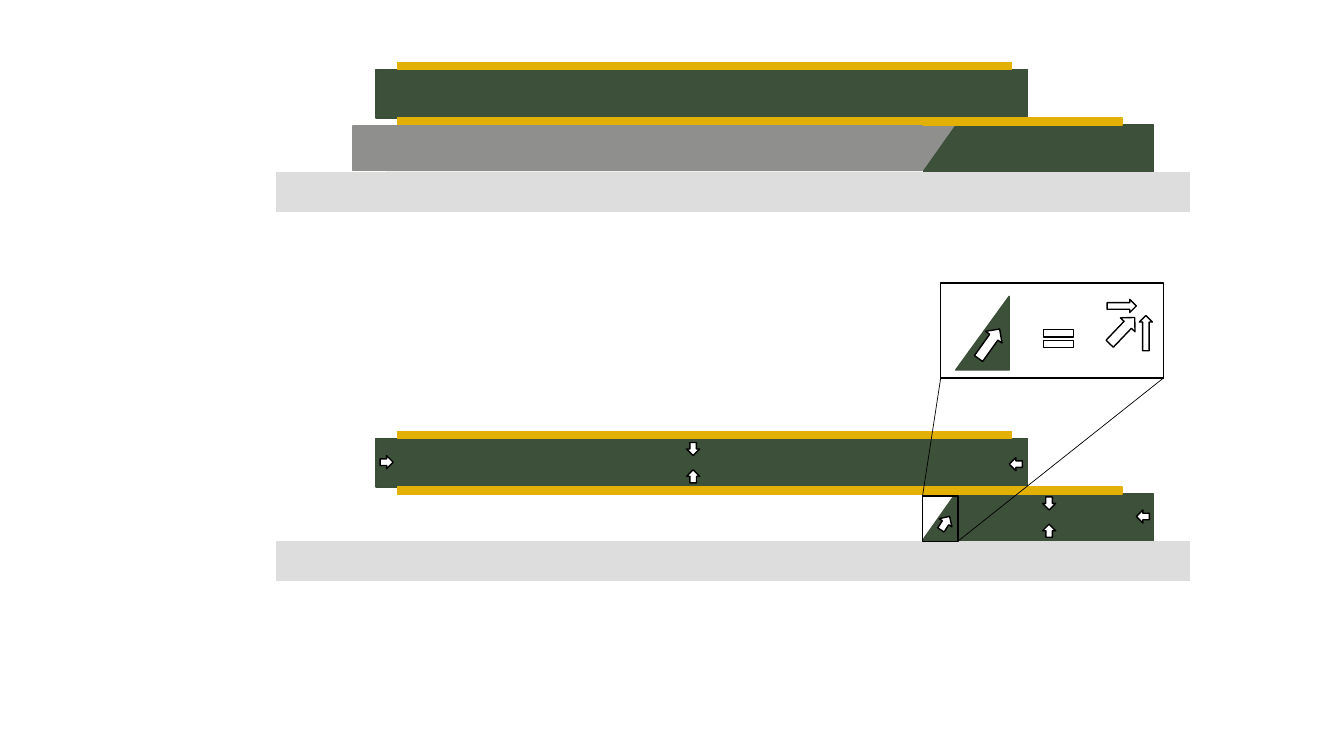
"""Build a slide of stacked layers on a substrate before and after release, with stress arrows."""
import pptx
import pptx.util
import pptx.dml.color
import pptx.enum.shapes
import pptx.oxml
import pptx.oxml.ns

Inches = pptx.util.Inches
Kind = pptx.enum.shapes.MSO_SHAPE

THEME = {
    "film": ("3D503A", "3B4E38"),
    "sacrificial": ("8F8F8D", "8F8F8D"),
    "removed": ("FFFFFF", None),
    "substrate": ("DDDDDD", "DDDDDD"),
    "electrode": ("E3B005", "E3B005"),
    "arrow": ("FFFFFF", "000000"),
    "frame": (None, "000000"),
}
OUTLINE, LEADER = 1, 0.5

STAGES = [(0, "sacrificial"), (3.66, "removed")]
LAYERS = [
    ("film", Kind.RECTANGLE, (9.16, 1.24, 2.28, 0.47)),
    ("film", Kind.RECTANGLE, (3.73, 0.69, 6.46, 0.48)),
    ("spacer", Kind.PARALLELOGRAM, (3.83, 1.22, 5.65, 0.47)),
    ("substrate", Kind.RECTANGLE, (2.74, 1.71, 9.06, 0.39)),
    ("electrode", Kind.RECTANGLE, (3.94, 1.17, 7.19, 0.07)),
    ("electrode", Kind.RECTANGLE, (3.94, 0.62, 6.09, 0.07)),
]
SPACER_SLANT = 0.706
SPACER_END = (3.5, 1.25, 5.65, 0.44)

SMALL = 0.13
SMALL_ARROWS = [
    (6.81, 4.39, 0), (6.81, 4.66, 180),
    (10.34, 4.93, 0), (10.34, 5.2, 180),
    (3.77, 4.52, 270), (10.01, 4.54, 90), (11.27, 5.06, 90),
]
EDGE_ARROW = ((9.3, 5.11, 0.15, 0.16), 212.6)
DETAIL_ARROWS = [
    ((11.06, 2.89, 0.13, 0.29), 270),
    ((11.3, 3.13, 0.13, 0.35), 180),
    ((9.71, 3.23, 0.2, 0.36), 215.6),
    ((11.03, 3.1, 0.2, 0.36), 223.6),
]
EDGE_FRAME = (9.15, 4.92, 0.35, 0.45)
DETAIL_FRAME = (9.33, 2.81, 2.21, 0.94)
WEDGE = (9.48, 2.94, 0.53, 0.73)
EQUALS = (10.3, 3.21, 0.4, 0.3)


def color(code):
    return pptx.dml.color.RGBColor.from_string(code)


def add_part(page, role, kind, box, turn=0):
    part = page.shapes.add_shape(kind, *map(Inches, box))
    part.rotation = turn
    part.shadow.inherit = False
    for paint, code in zip((part.fill, part.line.fill), THEME[role]):
        if code is None:
            paint.background()
        else:
            paint.solid()
            paint.fore_color.rgb = color(code)
    if THEME[role][1]:
        part.line.width = pptx.util.Pt(OUTLINE)
    return part


def add_stage(page, drop, spacer_role):
    for role, kind, (left, top, width, height) in LAYERS:
        is_spacer = role == "spacer"
        part = add_part(page, spacer_role if is_spacer else role, kind,
                        (left, top + drop, width, height))
        if is_spacer:
            part.adjustments[0] = SPACER_SLANT
    if spacer_role == "sacrificial":
        add_part(page, spacer_role, Kind.RECTANGLE, SPACER_END)


def add_leader(page, start, end):
    leader = page.shapes.add_connector(
        pptx.enum.shapes.MSO_CONNECTOR.STRAIGHT, *map(Inches, start + end))
    leader.line.color.rgb = color(THEME["frame"][1])
    leader.line.width = pptx.util.Pt(LEADER)
    properties = leader.element.find(pptx.oxml.ns.qn("p:spPr"))
    properties.append(pptx.oxml.parse_xml(
        f'<a:effectLst {pptx.oxml.ns.nsdecls("a")}/>'))


def bottom_corners(box):
    left, top, width, height = box
    return (left, top + height), (left + width, top + height)


def main():
    deck = pptx.Presentation()
    deck.slide_width, deck.slide_height = Inches(13.33), Inches(7.5)
    page = deck.slides.add_slide(deck.slide_layouts[6])

    for drop, spacer_role in STAGES:
        add_stage(page, drop, spacer_role)

    for left, top, turn in SMALL_ARROWS:
        add_part(page, "arrow", Kind.DOWN_ARROW, (left, top, SMALL, SMALL), turn)
    add_part(page, "arrow", Kind.DOWN_ARROW, *EDGE_ARROW)

    add_part(page, "frame", Kind.RECTANGLE, EDGE_FRAME)
    detail_left, detail_right = bottom_corners(DETAIL_FRAME)
    add_leader(page, EDGE_FRAME[:2], detail_left)
    add_leader(page, bottom_corners(EDGE_FRAME)[1], detail_right)

    wedge = add_part(page, "film", Kind.RIGHT_TRIANGLE, WEDGE)
    wedge.element.spPr.find(pptx.oxml.ns.qn("a:xfrm")).set("flipH", "1")
    add_part(page, "arrow", Kind.MATH_EQUAL, EQUALS)
    add_part(page, "frame", Kind.RECTANGLE, DETAIL_FRAME)
    for box, turn in DETAIL_ARROWS:
        add_part(page, "arrow", Kind.DOWN_ARROW, box, turn)

    deck.save("out.pptx")


if __name__ == "__main__":
    main()
